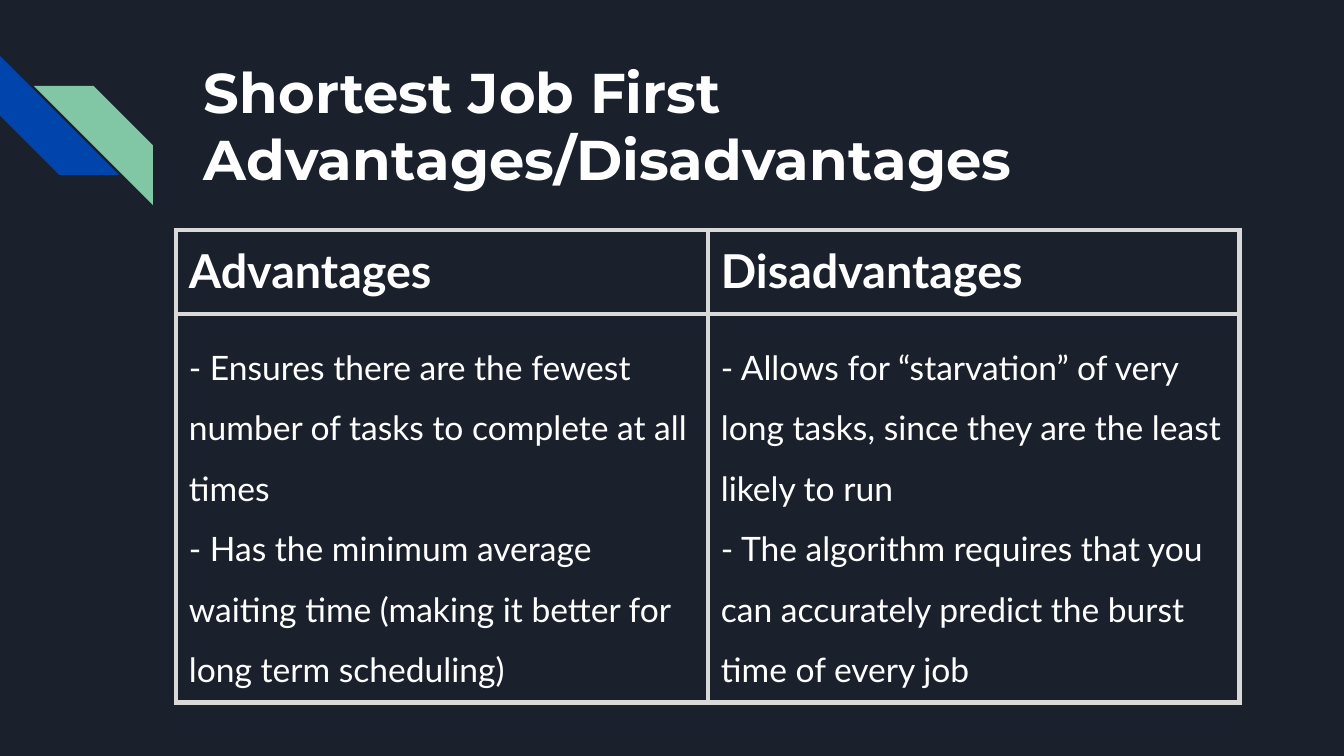
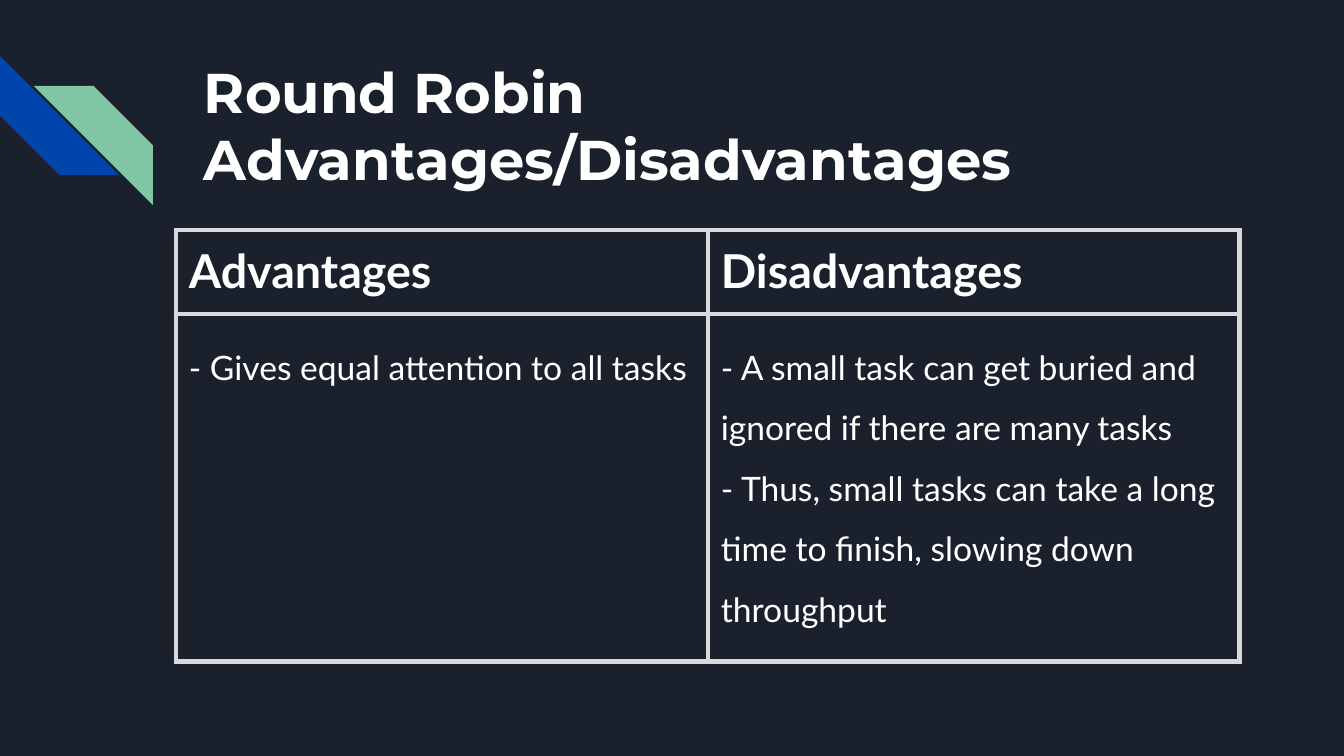
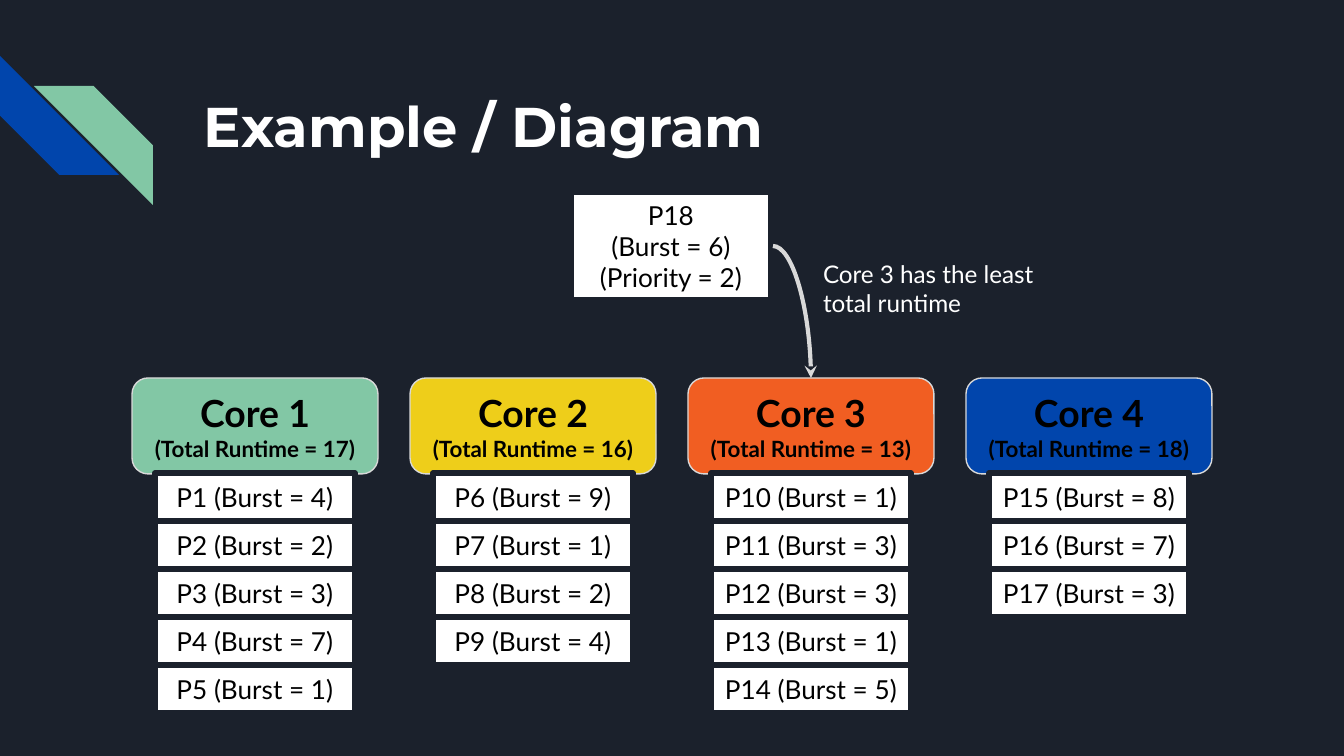
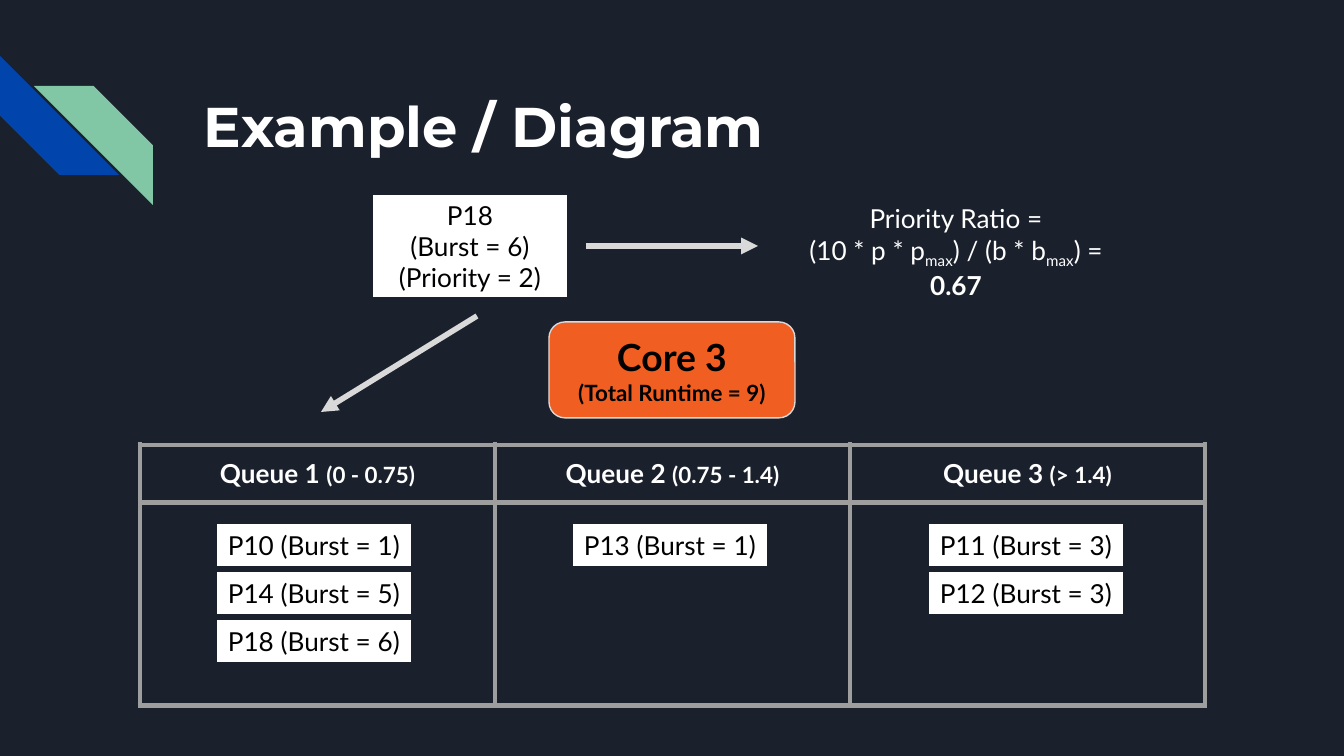
from lxml.etree import SubElement
from pptx import Presentation
from pptx.dml.color import RGBColor
from pptx.enum.shapes import MSO_CONNECTOR, MSO_SHAPE
from pptx.enum.text import MSO_ANCHOR, PP_ALIGN
from pptx.oxml.ns import qn
from pptx.util import Emu, Pt

# Shared style
NIGHT, WHITE, BLACK = "1B212C", "FFFFFF", "000000"
BLUE, GREEN, GOLD, RED = "0145AC", "82C7A5", "EECE1A", "F15E22"
PALE, GRAY = "D9D9D9", "9E9E9E"
HEAD, BODY = "Montserrat", "Lato"
INSET = 13
JOB_W, JOB_H = 200, 48
CORE_W, CORE_H = 246, 96


def px(n):
    return Emu(round(n * 914400 / 134.4))


def rgb(code):
    return RGBColor.from_string(code)


def write(frame, lines, size=14, color=WHITE, font=BODY, bold=False,
          align=PP_ALIGN.LEFT, space=None):
    """Each line is a string or a list of (text, format) runs."""
    for i, line in enumerate(lines):
        para = frame.paragraphs[0] if i == 0 else frame.add_paragraph()
        para.alignment = align
        if space:
            para.line_spacing = space
        for text, form in [(line, {})] if isinstance(line, str) else line:
            run = para.add_run()
            run.text = text
            run.font.name = font
            run.font.size = Pt(form.get("size", size))
            run.font.bold = form.get("bold", bold)
            run.font.color.rgb = rgb(color)
            if "base" in form:
                run.font._element.set("baseline", str(form["base"] * 1000))


class Deck:
    def __init__(self):
        self.prs = Presentation()
        self.prs.slide_width, self.prs.slide_height = px(1344), px(756)
        self.slide = None

    def page(self, title):
        self.slide = self.prs.slides.add_slide(self.prs.slide_layouts[6])
        back = self.slide.background.fill
        back.solid()
        back.fore_color.rgb = rgb(NIGHT)
        # Corner stripes
        stripe = self.shape(MSO_SHAPE.DIAGONAL_STRIPE, 0, 56, 119, 119, BLUE)
        stripe.rotation = 270
        stripe = self.shape(MSO_SHAPE.DIAGONAL_STRIPE, 34, 86, 119, 119, GREEN)
        stripe._element.spPr.find(qn("a:xfrm")).set("flipH", "1")
        self.text(191, 58, 1035, 134, [title], anchor=MSO_ANCHOR.MIDDLE,
                  size=30, font=HEAD, bold=True)

    def frame(self, shape, anchor):
        frame = shape.text_frame
        frame.word_wrap = True
        frame.vertical_anchor = anchor
        frame.margin_left = frame.margin_right = px(INSET)
        frame.margin_top = frame.margin_bottom = px(INSET)
        return frame

    def text(self, x, y, w, h, lines, anchor=MSO_ANCHOR.TOP, **form):
        box = self.slide.shapes.add_textbox(px(x), px(y), px(w), px(h))
        write(self.frame(box, anchor), lines, **form)

    def shape(self, kind, x, y, w, h, fill, line=None, width=1.0, lines=(), **form):
        shape = self.slide.shapes.add_shape(kind, px(x), px(y), px(w), px(h))
        shape.shadow.inherit = False
        shape.fill.solid()
        shape.fill.fore_color.rgb = rgb(fill)
        if line:
            shape.line.color.rgb = rgb(line)
            shape.line.width = Pt(width)
        else:
            shape.line.fill.background()
        if lines:
            write(self.frame(shape, MSO_ANCHOR.MIDDLE), lines, color=BLACK,
                  align=PP_ALIGN.CENTER, **form)
        return shape

    def core(self, x, y, num, total, fill):
        self.shape(MSO_SHAPE.ROUNDED_RECTANGLE, x, y, CORE_W, CORE_H, fill, PALE, 0.75,
                   [[(f"Core {num}", {"size": 20})], f"(Total Runtime = {total})"],
                   size=12, bold=True)

    def job(self, x, y, lines, h=JOB_H):
        self.shape(MSO_SHAPE.RECTANGLE, x, y, JOB_W, h, WHITE, NIGHT, 3, lines)

    def fresh(self, x):
        self.job(x, 192, ["P18", "(Burst = 6)", "(Priority = 2)"], h=108)

    def stack(self, x, y, jobs):
        for i, (num, burst) in enumerate(jobs):
            self.job(x, y + i * JOB_H, [f"P{num} (Burst = {burst})"])

    def arrow(self, x1, y1, x2, y2, width=3.0, tip="triangle", curve=False):
        kind = MSO_CONNECTOR.CURVE if curve else MSO_CONNECTOR.STRAIGHT
        link = self.slide.shapes.add_connector(kind, px(x1), px(y1), px(x2), px(y2))
        link.line.color.rgb = rgb(PALE)
        link.line.width = Pt(width)
        props = link._element.spPr
        if curve:
            props.find(qn("a:prstGeom")).set("prst", "curvedConnector2")
        SubElement(props.find(qn("a:ln")), qn("a:tailEnd"), type=tip)
        SubElement(props, qn("a:effectLst"))

    def table(self, x, y, wide, highs, count, edge):
        table = self.slide.shapes.add_table(
            len(highs), count, px(x), px(y), px(wide * count), px(sum(highs))).table
        table.first_row = table.horz_banding = False
        for col in table.columns:
            col.width = px(wide)
        for row, high in zip(table.rows, highs):
            row.height = px(high)
        for cell in table.iter_cells():
            cell.margin_left = cell.margin_right = px(INSET)
            cell.margin_top = cell.margin_bottom = px(INSET)
            props = cell._tc.get_or_add_tcPr()
            for side in ("lnL", "lnR", "lnT", "lnB"):
                line = SubElement(props, qn(f"a:{side}"), w=str(Pt(3)))
                SubElement(SubElement(line, qn("a:solidFill")), qn("a:srgbClr"), val=edge)
            cell.fill.background()
        return table

    def compare(self, title, pros, cons):
        self.page(title)
        table = self.table(176, 230, 532, [84, 348], 2, PALE)
        for i, (name, items) in enumerate([("Advantages", pros), ("Disadvantages", cons)]):
            write(table.cell(0, i).text_frame, [name], size=25, bold=True)
            write(table.cell(1, i).text_frame, items, size=18, space=1.5)


def main():
    deck = Deck()

    # Slides 1 and 2: comparison tables
    deck.compare(
        "Shortest Job First Advantages/Disadvantages",
        ["- Ensures there are the fewest number of tasks to complete at all times",
         "- Has the minimum average waiting time (making it better for long term scheduling)"],
        ["- Allows for “starvation” of very long tasks, since they are the least likely to run",
         "- The algorithm requires that you can accurately predict the burst time of every job"])
    deck.compare(
        "Round Robin Advantages/Disadvantages",
        ["- Gives equal attention to all tasks"],
        ["- A small task can get buried and ignored if there are many tasks",
         "- Thus, small tasks can take a long time to finish, slowing down throughput"])

    # Slide 3: choice of core
    deck.page("Example / Diagram")
    cores = [(17, GREEN, [4, 2, 3, 7, 1]), (16, GOLD, [9, 1, 2, 4]),
             (13, RED, [1, 3, 3, 1, 5]), (18, BLUE, [8, 7, 3])]
    first = 1
    for i, (total, fill, bursts) in enumerate(cores):
        x = 132 + i * 278
        deck.core(x, 378, i + 1, total, fill)
        deck.stack(x + (CORE_W - JOB_W) // 2, 473, enumerate(bursts, first))
        first += len(bursts)
    deck.fresh(571)
    deck.arrow(773, 246, 811, 378, width=2.25, tip="stealth", curve=True)
    deck.text(810, 246, 257, 78, ["Core 3 has the least total runtime"], size=13)

    # Slide 4: choice of queue
    deck.page("Example / Diagram")
    deck.core(549, 322, 3, 9, RED)
    deck.fresh(370)
    queues = [("0 - 0.75", [(10, 1), (14, 5), (18, 6)]),
              ("0.75 - 1.4", [(13, 1)]),
              ("> 1.4", [(11, 3), (12, 3)])]
    table = deck.table(140, 445, 355, [54, 203], len(queues), GRAY)
    for i, (span, jobs) in enumerate(queues):
        write(table.cell(0, i).text_frame,
              [[(f"Queue {i + 1} ", {}), (f"({span})", {"size": 12})]],
              bold=True, align=PP_ALIGN.CENTER)
        deck.stack(214 + i * 356, 521, jobs)
    deck.arrow(586, 246, 758, 246)
    deck.arrow(477, 316, 321, 412)
    low = ("max", {"base": -25})
    deck.text(774, 198, 364, 108,
              ["Priority Ratio =",
               [("(10 * p * p", {}), low, (") / (b * b", {}), low, (") = ", {}),
                ("0.67", {"bold": True})]],
              anchor=MSO_ANCHOR.MIDDLE, align=PP_ALIGN.CENTER)

    deck.prs.save("out.pptx")


if __name__ == "__main__":
    main()
